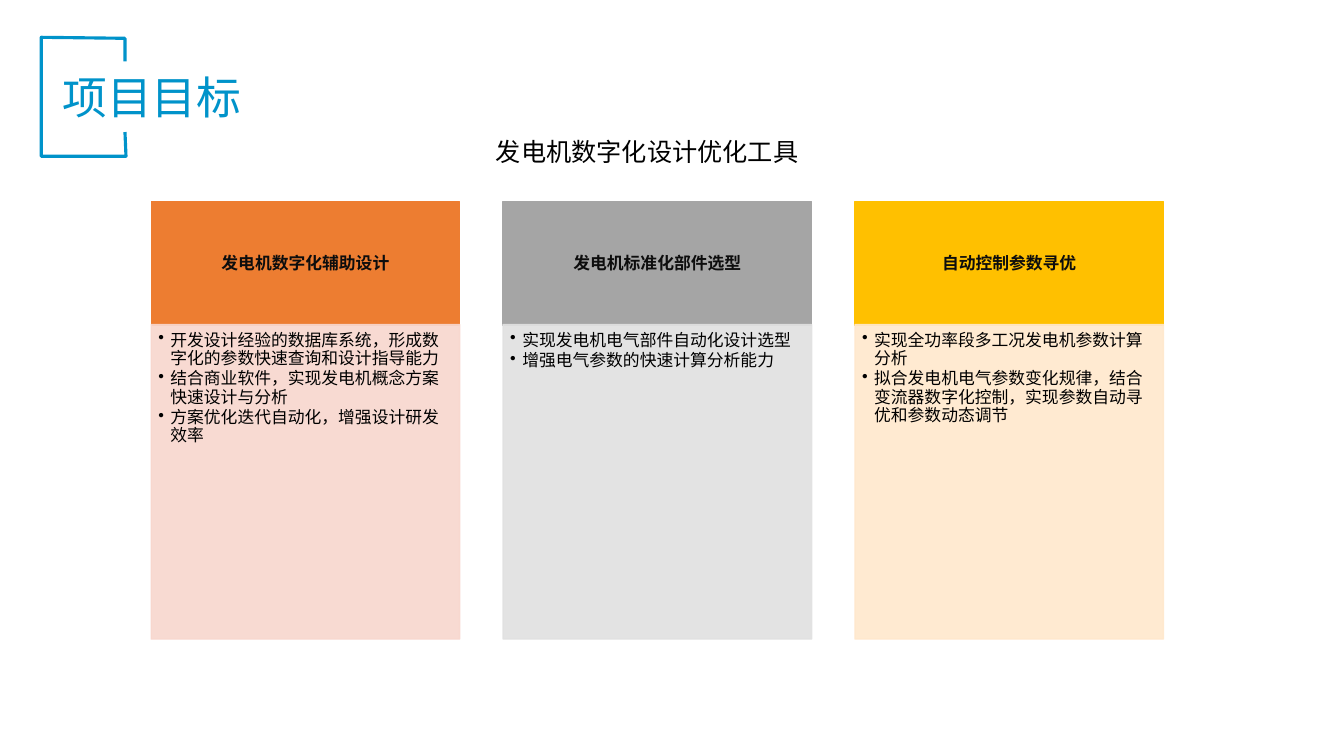
from lxml import etree
from pptx import Presentation
from pptx.dml.color import RGBColor
from pptx.enum.shapes import MSO_SHAPE
from pptx.enum.text import MSO_ANCHOR, MSO_AUTO_SIZE, PP_ALIGN
from pptx.oxml.ns import qn
from pptx.util import Emu, Pt

RECTANGLE = MSO_SHAPE.RECTANGLE
TOP, MIDDLE = MSO_ANCHOR.TOP, MSO_ANCHOR.MIDDLE
LEFT, CENTER = PP_ALIGN.LEFT, PP_ALIGN.CENTER
GROW = MSO_AUTO_SIZE.SHAPE_TO_FIT_TEXT

EMU_PER_PX = 9144
FONT = "Noto Sans CJK SC"
BLUE, BLACK, HEADER_TEXT = "0093CA", "000000", "0D0D0D"

BRACKET = [(124, 131), (125, 155), (41, 155), (41, 37), (124, 38), (124, 61)]
COLUMN_LEFT, COLUMN_PITCH, COLUMN_WIDTH = 150, 349, 306
HEADER_TOP, HEADER_HEIGHT = 200, 123
BODY_TOP, BODY_HEIGHT = 322, 312
COLUMNS = [
    ("发电机数字化辅助设计", "ED7D31", "F8D7CE", [
        "开发设计经验的数据库系统，形成数字化的参数快速查询和设计指导能力",
        "结合商业软件，实现发电机概念方案快速设计与分析",
        "方案优化迭代自动化，增强设计研发效率",
    ]),
    ("发电机标准化部件选型", "A5A5A5", "E1E1E1", [
        "实现发电机电气部件自动化设计选型",
        "增强电气参数的快速计算分析能力",
    ]),
    ("自动控制参数寻优", "FFC000", "FFE8CC", [
        "实现全功率段多工况发电机参数计算分析",
        "拟合发电机电气参数变化规律，结合变流器数字化控制，实现参数自动寻优和参数动态调节",
    ]),
]


def px(length):
    return Emu(length * EMU_PER_PX)


def color(value):
    return RGBColor.from_string(value)


class SlideBuilder:
    """Draws styled elements on the current slide."""

    def __init__(self, slide, font_name):
        self.slide = slide
        self.font_name = font_name

    def outline(self, points, line_color, width):
        builder = self.slide.shapes.build_freeform(*points[0], scale=EMU_PER_PX)
        builder.add_line_segments(points[1:], close=False)
        shape = builder.convert_to_shape()
        shape.shadow.inherit = False
        shape.fill.background()
        shape.line.color.rgb = color(line_color)
        shape.line.width = Pt(width)

    def add_text(self, paragraph, text, size, text_color, bold=False):
        run = paragraph.add_run()
        run.text = text
        run.font.size = Pt(size)
        run.font.bold = bold
        run.font.color.rgb = color(text_color)
        run.font.name = self.font_name
        east_asian = etree.SubElement(run._r.get_or_add_rPr(), qn("a:ea"))
        east_asian.set("typeface", self.font_name)

    def label(self, box, text, size, text_color):
        shape = self.slide.shapes.add_textbox(*map(px, box))
        frame = shape.text_frame
        frame.word_wrap = True
        frame.auto_size = GROW
        self.add_text(frame.paragraphs[0], text, size, text_color)

    def panel(self, box, fill_color, insets, anchor, opacity=100):
        shape = self.slide.shapes.add_shape(RECTANGLE, *map(px, box))
        shape.shadow.inherit = False
        shape.fill.solid()
        shape.fill.fore_color.rgb = color(fill_color)
        shape.line.color.rgb = color(fill_color)
        shape.line.width = Pt(1)
        if opacity < 100:
            for element in shape._element.spPr.iter(qn("a:srgbClr")):
                etree.SubElement(element, qn("a:alpha")).set("val", str(opacity * 1000))
        frame = shape.text_frame
        frame.word_wrap = True
        frame.vertical_anchor = anchor
        frame.margin_left, frame.margin_top, frame.margin_right, frame.margin_bottom = map(px, insets)
        return frame

    def header(self, box, text, fill_color):
        frame = self.panel(box, fill_color, (9, 5, 9, 5), MIDDLE)
        paragraph = frame.paragraphs[0]
        paragraph.alignment = CENTER
        paragraph.line_spacing = 0.9
        paragraph.space_after = Pt(4.2)
        self.add_text(paragraph, text, 12, HEADER_TEXT, bold=True)

    def bullets(self, box, items, fill_color):
        frame = self.panel(box, fill_color, (7, 7, 9, 10), TOP, opacity=90)
        for index, item in enumerate(items):
            paragraph = frame.add_paragraph() if index else frame.paragraphs[0]
            properties = paragraph._p.get_or_add_pPr()
            properties.set("marL", str(px(12)))
            properties.set("indent", str(px(-12)))
            etree.SubElement(properties, qn("a:buChar")).set("char", "•")
            paragraph.level = 1
            paragraph.alignment = LEFT
            paragraph.line_spacing = 0.9
            paragraph.space_after = Pt(1.8)
            self.add_text(paragraph, item, 12, BLACK)


def main():
    presentation = Presentation()
    presentation.slide_width, presentation.slide_height = px(1333), px(750)
    slide = presentation.slides.add_slide(presentation.slide_layouts[6])
    builder = SlideBuilder(slide, FONT)

    builder.outline(BRACKET, BLUE, 2.25)
    builder.label((52, 64, 975, 64), "项目目标", 32, BLUE)
    for index, (title, header_fill, body_fill, items) in enumerate(COLUMNS):
        left = COLUMN_LEFT + index * COLUMN_PITCH
        builder.header((left, HEADER_TOP, COLUMN_WIDTH, HEADER_HEIGHT), title, header_fill)
        builder.bullets((left, BODY_TOP, COLUMN_WIDTH, BODY_HEIGHT), items, body_fill)
    builder.label((482, 130, 371, 40), "发电机数字化设计优化工具", 18, BLACK)

    presentation.save("out.pptx")


if __name__ == "__main__":
    main()
